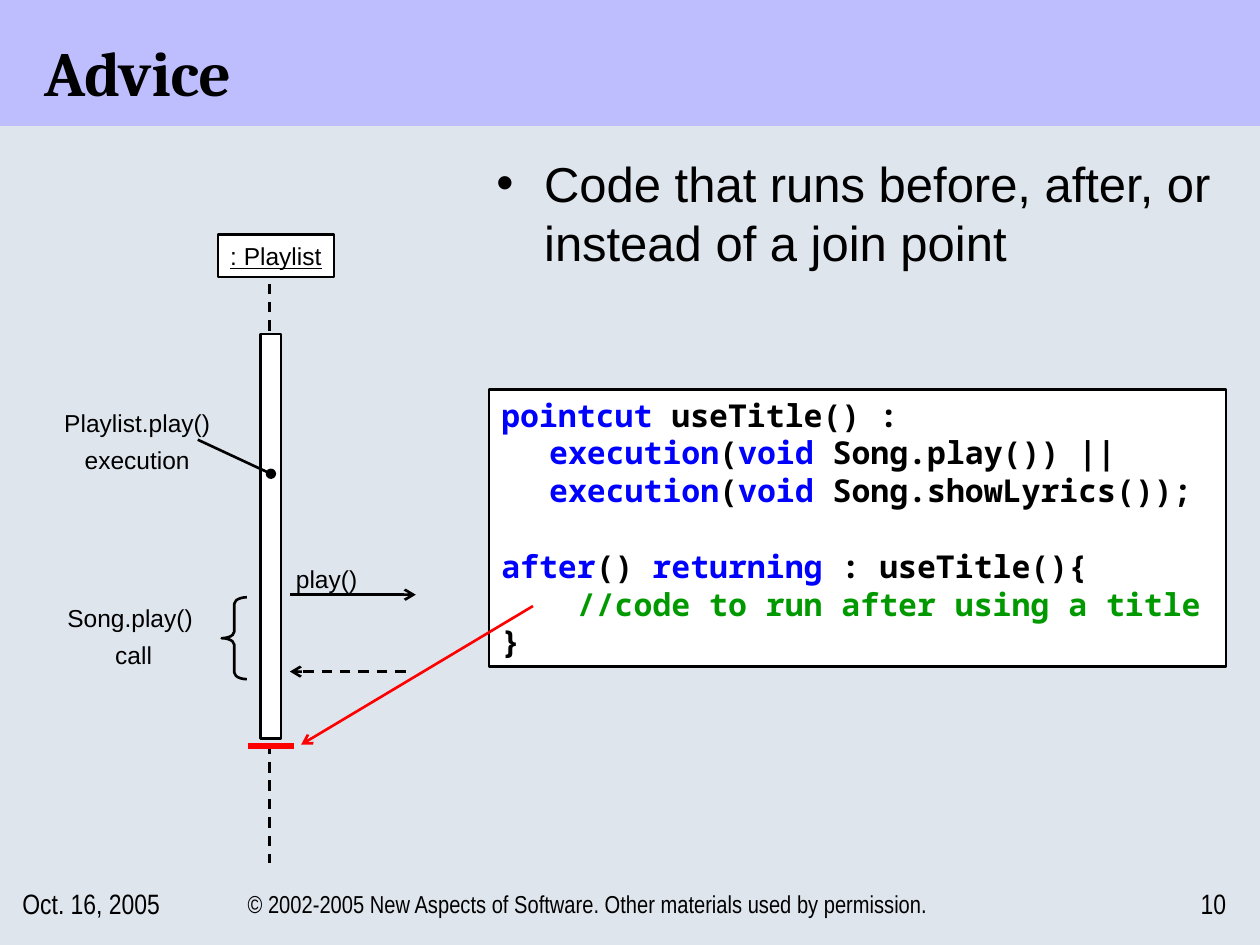
from lxml.etree import SubElement
from pptx import Presentation
from pptx.dml.color import RGBColor
from pptx.enum.dml import MSO_LINE
from pptx.enum.shapes import MSO_CONNECTOR, MSO_SHAPE
from pptx.enum.text import MSO_ANCHOR as Anchor, PP_ALIGN as Align
from pptx.oxml.ns import qn
from pptx.util import Inches, Pt

COLORS = {
    "background": "DFE5ED", "banner": "BEBEFF", "black": "000000", "white": "FFFFFF",
    "keyword": "0000FF", "comment": "009900", "advice": "FF0000",
}
TITLE = "Advice"
BULLET = "Code that runs before, after, or instead of a join point"

# Each code line is a list of (text, color) pieces
CODE = [
    [("pointcut", "keyword"), (" useTitle() :", "black")],
    [("\t", "black"), ("execution", "keyword"), ("(", "black"), ("void", "keyword"),
     (" Song.play()) ||", "black")],
    [("\t", "black"), ("execution", "keyword"), ("(", "black"), ("void", "keyword"),
     (" Song.showLyrics());", "black")],
    [],
    [("after", "keyword"), ("() ", "black"), ("returning", "keyword"),
     (" : useTitle(){", "black")],
    [("    ", "black"), ("//code to run after using a title", "comment")],
    [("}", "black")],
]
CODE_FONT, CODE_SIZE, CODE_TAB = "Noto Sans Mono", 18, 0.38

# Diagram labels: lines, box, alignment
LABELS = [
    (["play()"], (2.25, 4.43, 0.69, 0.34), Align.LEFT),
    (["Song.play() ", "call"], (0.34, 4.79, 1.44, 0.57), Align.CENTER),
    (["Playlist.play()", "execution"], (0.41, 3.24, 1.36, 0.57), Align.CENTER),
]
# Diagram lines: start, end, color, width, dashed, end mark
LIFELINE = ((2.14, 2.25), (2.14, 6.85), "black", 1.5, True, None)
MESSAGES = [
    ((3.22, 5.33), (2.3, 5.33), "black", 1.5, True, "arrow"),
    ((1.57, 3.49), (2.15, 3.76), "black", 1.5, False, "oval"),
    ((2.3, 4.72), (3.3, 4.72), "black", 1.5, False, "arrow"),
]
ADVICE_LINES = [
    ((4.23, 4.81), (2.39, 5.91), "advice", 1.5, False, "arrow"),
    ((1.97, 5.92), (2.33, 5.92), "advice", 3, False, None),
]
# Footer: text, left, width, size, alignment
FOOTER = [
    ("© 2002-2005 New Aspects of Software. Other materials used by permission.",
     1.75, 5.83, 14, Align.CENTER),
    ("10", 9.25, 0.58, 16, Align.RIGHT),
    ("Oct. 16, 2005", 0.08, 1.67, 16, Align.LEFT),
]


def rgb(name):
    return RGBColor.from_string(COLORS[name])


def style(run, size, font="Arial", color="black", bold=False):
    run.font.size, run.font.name, run.font.bold = Pt(size), font, bold
    run.font.color.rgb = rgb(color)


def add_box(slide, kind, box, fill="white", outline="black"):
    shape = slide.shapes.add_shape(kind, *map(Inches, box))
    shape.shadow.inherit = False
    if fill:
        shape.fill.solid()
        shape.fill.fore_color.rgb = rgb(fill)
    else:
        shape.fill.background()
    if outline:
        shape.line.color.rgb = rgb(outline)
        shape.line.width = Pt(1.5)
    else:
        shape.line.fill.background()
    return shape


def write(shape, lines, size, font="Arial", align=Align.LEFT, anchor=Anchor.TOP, wrap=True):
    frame = shape.text_frame
    frame.text = "\n".join(lines)
    frame.word_wrap, frame.vertical_anchor = wrap, anchor
    for index, paragraph in enumerate(frame.paragraphs):
        paragraph.alignment = align
        if len(lines) > 1:
            paragraph.line_spacing = 0.75
        if index:
            paragraph.space_before = Pt(8.8)
        style(paragraph.runs[0], size, font)
    return frame


def add_text(slide, box, *args, **kwargs):
    return write(slide.shapes.add_textbox(*map(Inches, box)), *args, **kwargs)


def add_line(slide, start, end, color, width, dashed, mark):
    line = slide.shapes.add_connector(MSO_CONNECTOR.STRAIGHT, *map(Inches, start + end))
    line.line.color.rgb = rgb(color)
    line.line.width = Pt(width)
    if dashed:
        line.line.dash_style = MSO_LINE.DASH
    if mark:
        SubElement(line.line._get_or_add_ln(), qn("a:tailEnd"), type=mark)
    SubElement(line._element.spPr, qn("a:effectLst"))


def add_code(slide, box):
    frame = add_box(slide, MSO_SHAPE.RECTANGLE, box).text_frame
    frame.word_wrap, frame.vertical_anchor = True, Anchor.TOP
    for index, pieces in enumerate(CODE):
        paragraph = frame.paragraphs[0] if index == 0 else frame.add_paragraph()
        paragraph.alignment = Align.LEFT
        tabs = SubElement(paragraph._p.get_or_add_pPr(), qn("a:tabLst"))
        SubElement(tabs, qn("a:tab"), pos=str(Inches(CODE_TAB)), algn="l")
        for text, color in pieces:
            run = paragraph.add_run()
            run.text = text
            style(run, CODE_SIZE, CODE_FONT, color, bold=True)
        if not pieces:
            end = SubElement(paragraph._p, qn("a:endParaRPr"), sz=str(CODE_SIZE * 100), b="1")
            SubElement(end, qn("a:latin"), typeface=CODE_FONT)


def main():
    deck = Presentation()
    deck.slide_width, deck.slide_height = Inches(10), Inches(7.5)
    slide = deck.slides.add_slide(deck.slide_layouts[5])
    slide.background.fill.solid()
    slide.background.fill.fore_color.rgb = rgb("background")

    # Banner, kept behind the title
    banner = add_box(slide, MSO_SHAPE.RECTANGLE, (0, 0, 10, 1), "banner", None)
    slide.shapes._spTree.insert(2, banner._element)
    title = slide.shapes.title
    title.left, title.top, title.width, title.height = map(Inches, (0.25, 0.17, 9.58, 0.75))
    write(title, [TITLE], 36, "Cambria", anchor=Anchor.BOTTOM)
    title.text_frame.paragraphs[0].runs[0].font.bold = True

    # Bullet
    bullet = add_text(slide, (3.84, 1.17, 5.99, 1.97), [BULLET], 28).paragraphs[0]
    props = bullet._p.get_or_add_pPr()
    props.set("marL", str(Inches(0.38)))
    props.set("indent", str(-Inches(0.38)))
    SubElement(props, qn("a:buFont"), typeface="Arial")
    SubElement(props, qn("a:buChar"), char="•")

    # Sequence diagram
    playlist = add_box(slide, MSO_SHAPE.RECTANGLE, (1.73, 1.86, 0.92, 0.34))
    name = write(playlist, [": Playlist"], 14, align=Align.CENTER,
                 anchor=Anchor.MIDDLE, wrap=False)
    name.paragraphs[0].runs[0].font.underline = True
    add_line(slide, *LIFELINE)
    add_box(slide, MSO_SHAPE.RECTANGLE, (2.07, 2.65, 0.16, 3.21))
    for lines, box, align in LABELS:
        add_text(slide, box, lines, 14, align=align, wrap=False)
    brace = add_box(slide, MSO_SHAPE.LEFT_BRACE, (1.76, 4.74, 0.2, 0.65), None)
    brace.adjustments[0] = 0.26
    for message in MESSAGES:
        add_line(slide, *message)

    # Code and the point where the advice runs
    add_code(slide, (3.88, 3.09, 5.85, 2.2))
    for line in ADVICE_LINES:
        add_line(slide, *line)

    # Footer
    for text, left, width, size, align in FOOTER:
        add_text(slide, (left, 6.92, width, 0.5), [text], size, "Arial Narrow",
                 align, Anchor.MIDDLE)

    deck.save("out.pptx")


if __name__ == "__main__":
    main()
